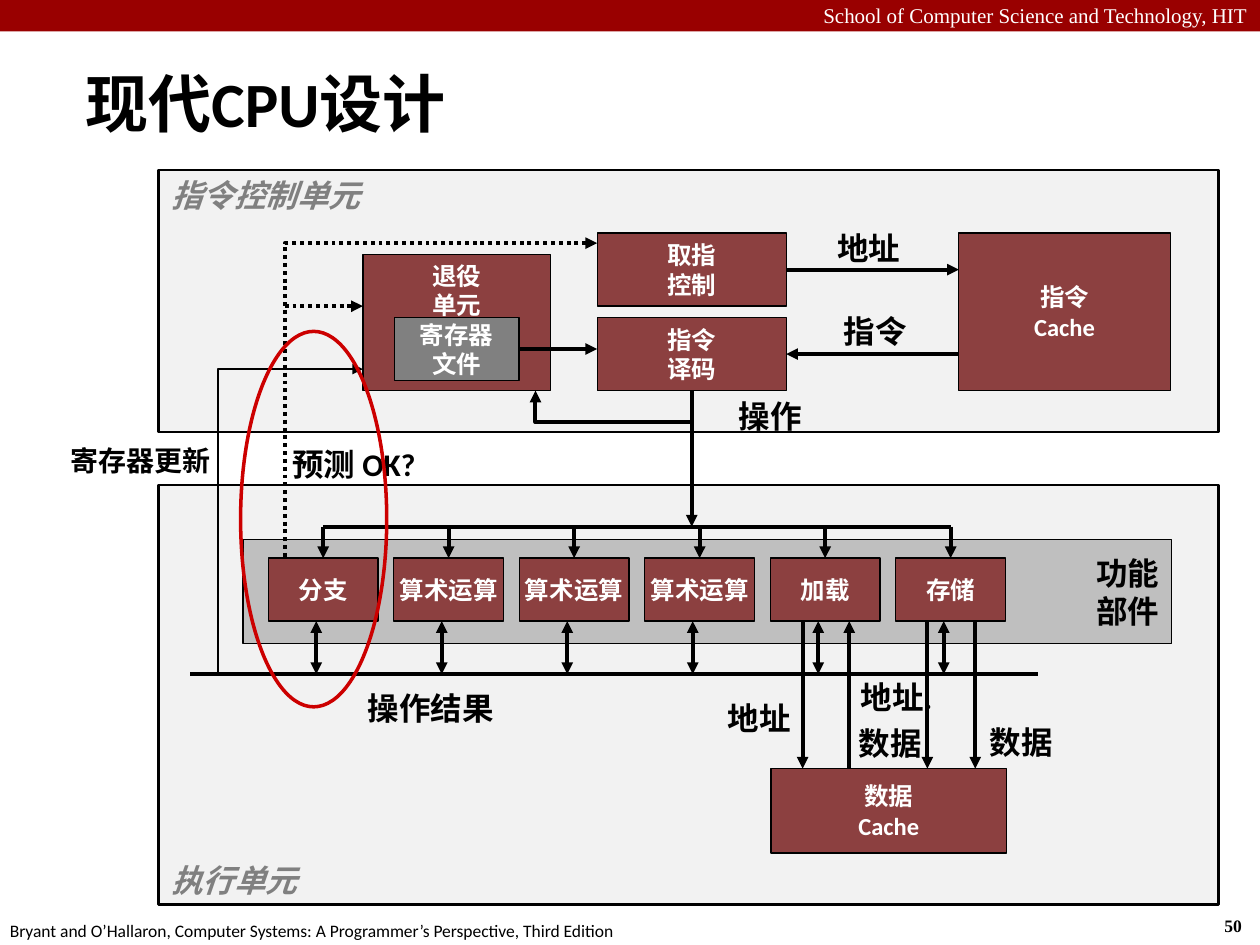
from dataclasses import dataclass
from lxml.etree import SubElement
from pptx import Presentation
from pptx.dml.color import RGBColor
from pptx.enum.dml import MSO_LINE
from pptx.enum.shapes import MSO_CONNECTOR, MSO_SHAPE
from pptx.enum.text import MSO_ANCHOR, PP_ALIGN
from pptx.oxml.ns import qn
from pptx.util import Inches, Pt


@dataclass(frozen=True)
class Theme:
    font: str = "Calibri"
    serif: str = "Times New Roman"
    black: str = "000000"
    white: str = "FFFFFF"
    banner: str = "990000"
    panel: str = "F2F2F2"
    strip: str = "BFBFBF"
    block: str = "8C4040"
    gray: str = "808080"
    highlight: str = "CC0000"
    title: int = 36
    label: int = 18
    update: int = 16
    body: int = 14
    header: int = 12
    footer: int = 10
    thin: float = 0.75
    medium: float = 1.5
    ring: float = 2
    thick: float = 2.25


THEME = Theme()
LEFT, CENTER, RIGHT = PP_ALIGN.LEFT, PP_ALIGN.CENTER, PP_ALIGN.RIGHT
TOP, MIDDLE, BOTTOM = MSO_ANCHOR.TOP, MSO_ANCHOR.MIDDLE, MSO_ANCHOR.BOTTOM
SIDE_TOP, SIDE_LEFT, SIDE_BOTTOM, SIDE_RIGHT = range(4)

PANELS = [
    ("执行单元", (1.26, 3.85, 8.41, 3.33), BOTTOM),
    ("指令控制单元", (1.26, 1.35, 8.41, 2.08), TOP),
]
BLOCKS = {
    "instruction cache": ("指令\nCache", (7.61, 1.85, 1.68, 1.25), THEME.block, MIDDLE),
    "data cache": ("数据\nCache", (6.12, 6.1, 1.87, 0.67), THEME.block, MIDDLE),
    "fetch": ("取指\n控制", (4.74, 1.85, 1.5, 0.58), THEME.block, MIDDLE),
    "decode": ("指令\n译码", (4.74, 2.52, 1.5, 0.58), THEME.block, MIDDLE),
    "retirement": ("退役\n单元", (2.88, 2.02, 1.49, 1.08), THEME.block, TOP),
    "register file": ("寄存器\n文件", (3.13, 2.52, 0.99, 0.5), THEME.gray, MIDDLE),
}
UNITS = ["分支", "算术运算", "算术运算", "算术运算", "加载", "存储"]
UNIT_LEFT, UNIT_TOP, UNIT_WIDTH, UNIT_HEIGHT = 2.13, 4.43, 0.87, 0.5
UNIT_PITCH = 4.98 / 5
UNIT_BOTTOM = UNIT_TOP + UNIT_HEIGHT
RESULT_OFFSET = 0.38
OPERATION_BUS, RESULT_BUS, CACHE_TOP = 4.18, 5.35, 6.1
MEMORY_LINES = [(6.37, True), (6.74, False), (7.36, True), (7.74, True)]
LABELS = [
    ("地址", (6.48, 1.77, 0.83, 0.4), CENTER),
    ("指令", (6.53, 2.43, 0.83, 0.4), CENTER),
    ("操作", (5.7, 3.1, 0.83, 0.4), CENTER),
    ("预测 OK?", (2.22, 3.48, 1.41, 0.4), LEFT),
    ("数据", (7.69, 5.69, 0.83, 0.4), CENTER),
    ("数据", (6.65, 5.7, 0.83, 0.4), CENTER),
    ("地址", (5.61, 5.5, 0.83, 0.4), CENTER),
    ("地址.", (6.66, 5.33, 0.91, 0.4), CENTER),
    ("操作结果", (2.82, 5.42, 1.43, 0.4), LEFT),
]

presentation = Presentation()
presentation.slide_width, presentation.slide_height = Inches(10), Inches(7.5)
slide = presentation.slides.add_slide(presentation.slide_layouts[6])


def write_text(shape, text, size=THEME.body, color=THEME.white, font=THEME.font,
               bold=True, italic=False, align=CENTER, anchor=MIDDLE, wrap=False):
    frame = shape.text_frame
    frame.text = text
    frame.word_wrap = wrap
    frame.vertical_anchor = anchor
    for paragraph in frame.paragraphs:
        paragraph.alignment = align
        paragraph.font.size = Pt(size)
        paragraph.font.name = font
        paragraph.font.bold = bold
        paragraph.font.italic = italic
        paragraph.font.color.rgb = RGBColor.from_string(color)


def add_label(text, box, **text_format):
    shape = slide.shapes.add_textbox(*map(Inches, box))
    write_text(shape, text, **{"color": THEME.black, "anchor": TOP, **text_format})


def set_line(shape, color=THEME.black, width=THEME.thick, dotted=False, head=False, tail=False):
    shape.line.color.rgb = RGBColor.from_string(color)
    shape.line.width = Pt(width)
    if dotted:
        shape.line.dash_style = MSO_LINE.ROUND_DOT
    for wanted, tag in ((head, "a:headEnd"), (tail, "a:tailEnd")):
        if wanted:
            SubElement(shape.line._get_or_add_ln(), qn(tag), type="triangle")


def add_block(box, fill=None, line=THEME.black, width=THEME.thin, kind=MSO_SHAPE.RECTANGLE):
    shape = slide.shapes.add_shape(kind, *map(Inches, box))
    shape.shadow.inherit = False
    if fill:
        shape.fill.solid()
        shape.fill.fore_color.rgb = RGBColor.from_string(fill)
    else:
        shape.fill.background()
    if line:
        set_line(shape, color=line, width=width)
    else:
        shape.line.fill.background()
    return shape


def add_straight(start, end, begin_side=None, end_side=None, **line_format):
    connector = slide.shapes.add_connector(MSO_CONNECTOR.STRAIGHT, *map(Inches, start + end))
    if begin_side:
        connector.begin_connect(*begin_side)
    if end_side:
        connector.end_connect(*end_side)
    set_line(connector, **line_format)
    SubElement(connector._element.spPr, qn("a:effectLst"))


def add_bent(points, **line_format):
    corners = [(Inches(x), Inches(y)) for x, y in points]
    builder = slide.shapes.build_freeform(*corners[0])
    builder.add_line_segments(corners[1:], close=False)
    shape = builder.convert_to_shape()
    shape.shadow.inherit = False
    shape.fill.background()
    set_line(shape, **line_format)


add_block((0, 0, 10, 0.25), fill=THEME.banner, line=None)
add_label("School of Computer Science and Technology, HIT", (0, -0.03, 10, 0.3),
          size=THEME.header, color=THEME.white, font=THEME.serif, bold=False, align=RIGHT, wrap=True)
add_label("50", (9.62, 7.21, 0.37, 0.27), size=THEME.footer, font=THEME.serif, align=LEFT)
add_label("Bryant and O’Hallaron, Computer Systems: A Programmer’s Perspective, Third Edition",
          (-0.02, 7.25, 5.08, 0.27), size=THEME.footer, bold=False, align=LEFT)
add_label("现代CPU设计", (0.58, 0.5, 6.41, 0.63), size=THEME.title, align=LEFT, anchor=MIDDLE, wrap=True)

for text, box, anchor in PANELS:
    panel = add_block(box, fill=THEME.panel, width=THEME.medium)
    write_text(panel, text, size=THEME.label, color=THEME.gray, italic=True, align=LEFT, anchor=anchor)
strip = add_block((1.93, 4.28, 7.37, 0.83), fill=THEME.strip)
write_text(strip, "功能\n部件", size=THEME.label, color=THEME.black, align=RIGHT)

blocks = {}
for name, (text, box, fill, anchor) in BLOCKS.items():
    blocks[name] = add_block(box, fill=fill)
    write_text(blocks[name], text, anchor=anchor)

for index, text in enumerate(UNITS):
    left = UNIT_LEFT + index * UNIT_PITCH
    center = left + UNIT_WIDTH / 2
    unit = add_block((left, UNIT_TOP, UNIT_WIDTH, UNIT_HEIGHT), fill=THEME.block)
    write_text(unit, text)
    add_straight((center, OPERATION_BUS), (center, UNIT_TOP), end_side=(unit, SIDE_TOP), tail=True)
    result = left + RESULT_OFFSET
    add_straight((result, UNIT_BOTTOM), (result, RESULT_BUS), head=True, tail=True)

first_center = UNIT_LEFT + UNIT_WIDTH / 2
last_center = first_center + (len(UNITS) - 1) * UNIT_PITCH
add_straight((first_center, OPERATION_BUS), (last_center, OPERATION_BUS))
add_straight((1.51, RESULT_BUS), (8.24, RESULT_BUS))

for x, downward in MEMORY_LINES:
    ends = [(x, UNIT_BOTTOM), (x, CACHE_TOP)]
    add_straight(*(ends if downward else ends[::-1]), tail=True)

add_straight((6.24, 2.14), (7.61, 2.14), begin_side=(blocks["fetch"], SIDE_RIGHT), tail=True)
add_straight((7.61, 2.81), (6.24, 2.81), end_side=(blocks["decode"], SIDE_RIGHT), tail=True)
add_straight((5.49, 3.1), (5.49, OPERATION_BUS), begin_side=(blocks["decode"], SIDE_BOTTOM), tail=True)
add_straight((4.12, 2.77), (4.74, 2.77), begin_side=(blocks["register file"], SIDE_RIGHT), tail=True)
add_straight((2.26, 2.43), (2.88, 2.43), dotted=True, tail=True)
add_bent([(4.74, 1.93), (2.26, 1.93), (2.26, UNIT_TOP)], dotted=True, head=True)
add_bent([(2.88, 2.93), (1.73, 2.93), (1.73, RESULT_BUS)], width=THEME.medium, head=True)
add_bent([(5.49, 3.35), (4.25, 3.35), (4.25, 3.1)], tail=True)

for text, box, align in LABELS:
    add_label(text, box, size=THEME.label, align=align)
add_label("寄存器更新", (0.21, 3.47, 1.56, 0.37), size=THEME.update, align=RIGHT)
add_block((1.91, 2.63, 1.16, 2.98), line=THEME.highlight, width=THEME.ring, kind=MSO_SHAPE.OVAL)

presentation.save("out.pptx")
